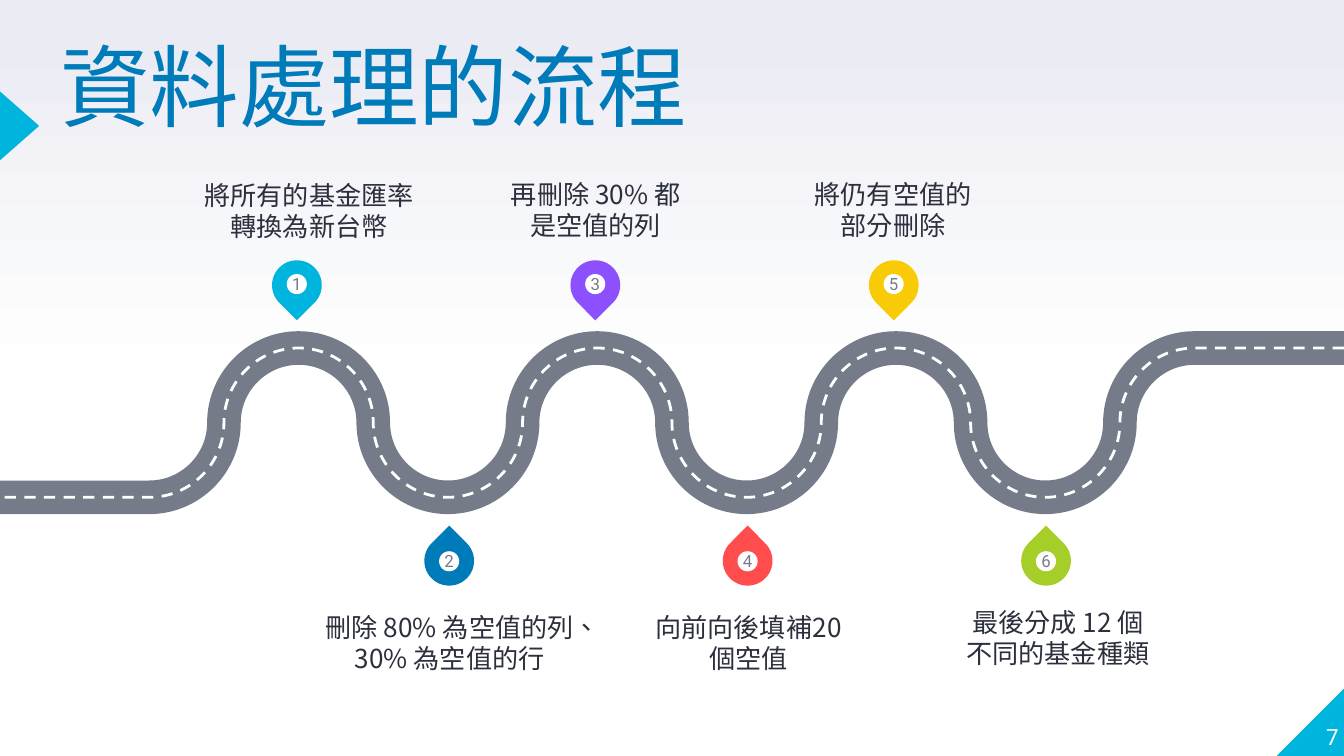
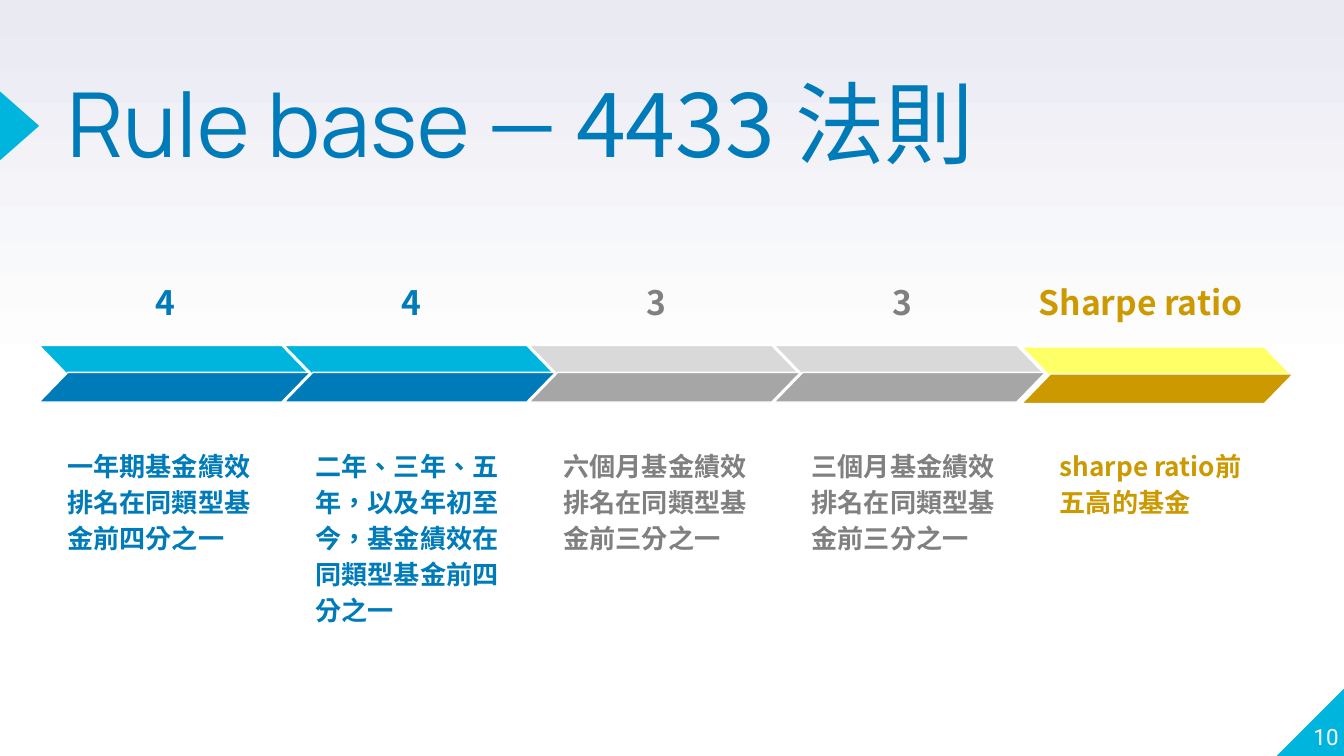
from copy import deepcopy

from pptx import Presentation
from pptx.dml.color import RGBColor
from pptx.enum.dml import MSO_LINE
from pptx.enum.shapes import MSO_SHAPE as Preset
from pptx.enum.text import MSO_ANCHOR as Anchor, MSO_AUTO_SIZE as AutoSize, PP_ALIGN as Align
from pptx.oxml.ns import qn
from pptx.util import Cm, Pt

# Colours
WHITE = RGBColor(0xFF, 0xFF, 0xFF)
LAVENDER = RGBColor(0xE9, 0xEA, 0xF2)
CYAN = RGBColor(0x00, 0xB5, 0xDD)
BLUE = RGBColor(0x00, 0x7B, 0xB9)
PURPLE = RGBColor(0x8C, 0x50, 0xFF)
RED = RGBColor(0xFF, 0x4D, 0x4D)
AMBER = RGBColor(0xF9, 0xCB, 0x07)
LIME = RGBColor(0xA6, 0xCE, 0x28)
ASPHALT = RGBColor(0x75, 0x7B, 0x89)
INK = RGBColor(0x2C, 0x2F, 0x3C)
GREY = RGBColor(0x80, 0x80, 0x80)
MID_GREY = RGBColor(0xA6, 0xA6, 0xA6)
PALE_GREY = RGBColor(0xD9, 0xD9, 0xD9)
YELLOW = RGBColor(0xFF, 0xFF, 0x66)
GOLD = RGBColor(0xCC, 0x99, 0x00)

# Fonts and page
CJK, LATIN, DIGITS = "Noto Sans CJK SC", "Manrope", "Roboto"
PAGE_W, PAGE_H = 25.4, 14.29

# Road: quarter arcs of one radius between a low and a high level
RADIUS = PAGE_W / 18
ROAD_MID = 7.99
BENDS = 7
ARC_PULL = 0.55

# Steps along the road: number, pin colour, text, label left, top, width
STEPS = [
    ("1", CYAN, "將所有的基金匯率轉換為新台幣", 3.84, 3.1, 4.01),
    ("2", BLUE, "刪除 80% 為空值的列、30% 為空值的行", 6.14, 11.55, 4.72),
    ("3", PURPLE, "再刪除 30% 都是空值的列", 9.47, 3.08, 3.58),
    ("4", RED, "向前向後填補20 個空值", 12.38, 11.55, 3.53),
    ("5", AMBER, "將仍有空值的部分刪除", 15.18, 3.08, 3.4),
    ("6", LIME, "最後分成 12 個\n不同的基金種類", 17.94, 11.46, 4.11),
]

# Rules: heading, text, text colour, upper and lower band colours
RULES = [
    ("4", "一年期基金績效排名在同類型基金前四分之一", BLUE, CYAN, BLUE),
    ("4", "二年、三年、五年，以及年初至今，基金績效在同類型基金前四分之一", BLUE, CYAN, BLUE),
    ("3", "六個月基金績效排名在同類型基金前三分之一", GREY, PALE_GREY, MID_GREY),
    ("3", "三個月基金績效排名在同類型基金前三分之一", GREY, PALE_GREY, MID_GREY),
    ("Sharpe ratio", "sharpe ratio前五高的基金", GOLD, YELLOW, GOLD),
]


def add_run(paragraph, text, size, color, font=CJK, bold=False):
    run = paragraph.add_run()
    run.text = text
    run.font.size = Pt(size)
    run.font.bold = bold
    run.font.color.rgb = color
    run.font.name = font
    props = run._r.get_or_add_rPr()
    props.set("lang", "zh-TW")
    east_asian = props.makeelement(qn("a:ea"), {"typeface": font})
    props.find(qn("a:latin")).addnext(east_asian)


def set_frame(frame, anchor, inset=0):
    frame.word_wrap = True
    frame.auto_size = AutoSize.NONE
    frame.vertical_anchor = anchor
    frame.margin_left = frame.margin_right = Cm(inset)
    frame.margin_top = frame.margin_bottom = Cm(inset)


def add_text(slide, box, text, size, color, anchor=Anchor.TOP, align=Align.LEFT,
             font=CJK, bold=False, inset=0, spacing=None):
    frame = slide.shapes.add_textbox(*map(Cm, box)).text_frame
    set_frame(frame, anchor, inset)
    for i, line in enumerate(text.split("\n")):
        paragraph = frame.add_paragraph() if i else frame.paragraphs[0]
        paragraph.alignment = align
        if spacing:
            paragraph.line_spacing = spacing
        add_run(paragraph, line, size, color, font, bold)


def add_preset(slide, preset, box, fill, edge=None, rotation=0, flip=False):
    shape = slide.shapes.add_shape(preset, *map(Cm, box))
    shape.shadow.inherit = False
    shape.fill.solid()
    shape.fill.fore_color.rgb = fill
    if edge is None:
        shape.line.fill.background()
    else:
        shape.line.color.rgb = edge
        shape.line.width = Pt(0.75)
    shape.rotation = rotation
    if flip:
        shape._element.spPr.find(qn("a:xfrm")).set("flipH", "1")
    return shape


def set_background(master):
    """White lower half fading to lavender at the top."""
    fill = master.background.fill
    fill.gradient()
    fill.gradient_angle = 90
    white, lavender = fill.gradient_stops
    white.color.rgb, lavender.color.rgb = WHITE, LAVENDER
    white.position, lavender.position = 0.5, 1
    stops = next(master.element.iter(qn("a:gsLst")))
    first = deepcopy(stops[0])
    first.set("pos", "0")
    stops.insert(0, first)


def new_slide(deck, title_box, title_runs, number):
    slide = deck.slides.add_slide(deck.slide_layouts[5])
    # Corner and arrow decorations
    add_preset(slide, Preset.RIGHT_TRIANGLE, (24.13, 12.99, 1.3, 1.3), CYAN, flip=True)
    add_preset(slide, Preset.ISOSCELES_TRIANGLE, (-0.28, 2.01, 1.3, 0.74), CYAN, rotation=90)
    # Title
    title = slide.shapes.title
    title.left, title.top, title.width, title.height = map(Cm, title_box)
    set_frame(title.text_frame, Anchor.TOP)
    heading = title.text_frame.paragraphs[0]
    heading.alignment = Align.LEFT
    heading.line_spacing = 0.8
    for text, font in title_runs:
        add_run(heading, text, 48, BLUE, font)
    # Page number
    add_text(slide, (24.03, 12.88, 1.27, 1.3), number, 12, WHITE,
             Anchor.BOTTOM, Align.RIGHT, DIGITS)
    return slide


def road_points():
    """Right edge, then three Bezier points for each quarter arc, then left edge."""
    high, low = ROAD_MID - RADIUS, ROAD_MID + RADIUS
    pull = ARC_PULL * RADIUS
    points = [(PAGE_W, high), (PAGE_W - 2 * RADIUS, high)]
    for bend in range(BENDS):
        begin, end = (high, low) if bend % 2 == 0 else (low, high)
        down = pull if end > begin else -pull
        x = PAGE_W - 2 * RADIUS * (bend + 1)
        middle, finish = x - RADIUS, x - 2 * RADIUS
        points += [(x - pull, begin), (middle, ROAD_MID - down), (middle, ROAD_MID),
                   (middle, ROAD_MID + down), (finish + pull, end), (finish, end)]
    points.append((0, low))
    return [(Cm(x), Cm(y)) for x, y in points]


def bend_segments(road):
    """Turn each three segments between the straight ends into one curve."""
    outline = next(road._element.iter(qn("a:path" )))
    inner = outline.findall(qn("a:lnTo"))[1:-1]
    for i in range(0, len(inner), 3):
        curve = outline.makeelement(qn("a:cubicBezTo"), {})
        inner[i].addprevious(curve)
        for segment in inner[i:i + 3]:
            curve.append(segment[0])
            outline.remove(segment)


def add_road(slide, color, width, dash=None):
    start, *rest = road_points()
    builder = slide.shapes.build_freeform(*start)
    builder.add_line_segments(rest, close=False)
    road = builder.convert_to_shape()
    bend_segments(road)
    road.shadow.inherit = False
    road.fill.background()
    road.line.color.rgb = color
    road.line.width = Pt(width)
    if dash:
        road.line.dash_style = dash


def add_pin(slide, index, number, color):
    above = index % 2 == 0
    center = (5.61 if above else 8.49) + 5.64 * (index // 2)
    pin_top, dot_top = (4.92, 5.18) if above else (10.13, 10.42)
    drop = add_preset(slide, Preset.TEAR, (center - 0.47, pin_top, 0.94, 0.94), color,
                      rotation=135 if above else 315)
    drop.adjustments[0] = 1
    dot = add_preset(slide, Preset.OVAL, (center - 0.19, dot_top, 0.38, 0.38), WHITE,
                     flip=not above)
    set_frame(dot.text_frame, Anchor.MIDDLE)
    digit = dot.text_frame.paragraphs[0]
    digit.alignment = Align.CENTER
    add_run(digit, number, 9, ASPHALT, DIGITS)


def add_rule(slide, index, heading, text, color, upper, lower):
    last = index == len(RULES) - 1
    heading_left, heading_width = (19.38, 5.05) if last else (2.69 + 4.64 * index, 1.24)
    add_text(slide, (heading_left, 4.72, heading_width, 1.63), heading, 18, color,
             Anchor.BOTTOM, bold=True, inset=0.25, spacing=1.15)
    add_text(slide, (1.02 + 4.69 * index, 8.17, 4.29, 2.67), text, 14, color,
             bold=True, inset=0.25, spacing=1.15)
    # The last band sits a little apart from the even row
    left, drop = (19.31, 0.03) if last else (0.74 + 4.63 * index, 0)
    for top, fill, flip in ((6.53, upper, True), (7.04, lower, False)):
        band = add_preset(slide, Preset.PARALLELOGRAM, (left, top + drop, 5.13, 0.56), fill,
                          edge=WHITE, flip=flip)
        band.adjustments[0] = 0.97


def main():
    deck = Presentation()
    deck.slide_width, deck.slide_height = Cm(PAGE_W), Cm(PAGE_H)
    set_background(deck.slide_master)

    # Data processing road map
    flow = new_slide(deck, (1.14, 0.97, 18.62, 3), [("資料處理的流程", CJK)], "7")
    add_road(flow, ASPHALT, 18)
    add_road(flow, WHITE, 1.5, MSO_LINE.DASH)
    for index, (number, color, text, left, top, width) in enumerate(STEPS):
        add_pin(flow, index, number, color)
        anchor = Anchor.BOTTOM if index % 2 == 0 else Anchor.TOP
        add_text(flow, (left, top, width, 1.47), text, 14, INK, anchor, Align.CENTER)

    # 4433 rule
    rules = new_slide(deck, (1.27, 1.68, 19.41, 3),
                      [("Rule base — ", LATIN), ("4433 法則", CJK)], "10")
    for index, rule in enumerate(RULES):
        add_rule(rules, index, *rule)

    deck.save("out.pptx")


if __name__ == "__main__":
    main()
